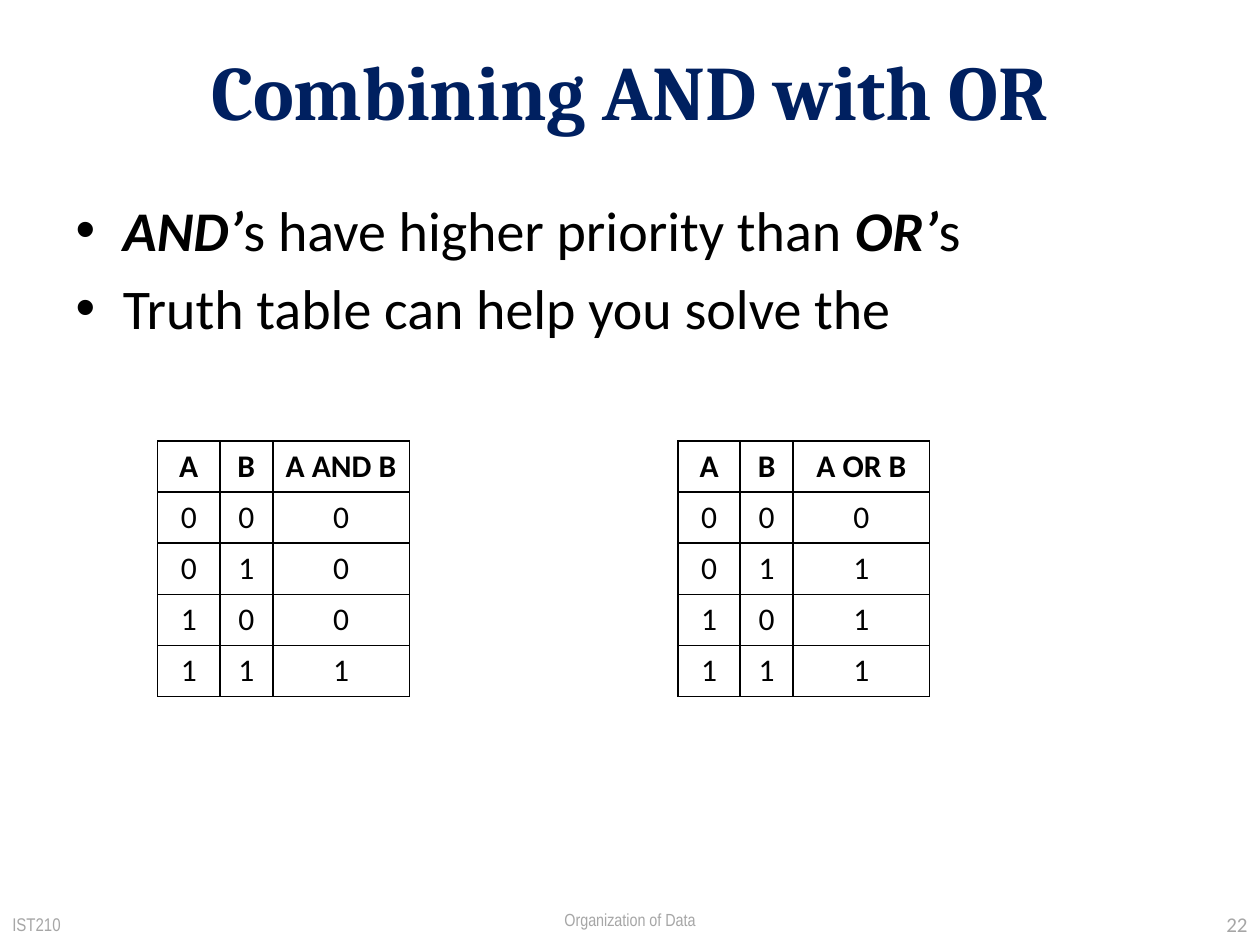
import pptx
import pptx.dml.color
import pptx.enum.text
import pptx.oxml.ns
import pptx.util
from lxml import etree

Cm = pptx.util.Cm
ALIGN = pptx.enum.text.PP_ALIGN
ANCHOR = pptx.enum.text.MSO_ANCHOR

COLORS = {"title": "002060", "text": "000000", "footer": "A6A6A6", "border": "000000"}

TITLE = "Combining AND with OR"
BULLETS = [
    [("AND’", True), ("s have higher priority than ", False), ("OR’", True), ("s", False)],
    [("Truth table can help you solve the", False)],
]
INPUTS = [(0, 0), (0, 1), (1, 0), (1, 1)]
TRUTH_TABLES = [
    (3.18, "A AND B", [a & b for a, b in INPUTS]),
    (13.67, "A OR B", [a | b for a, b in INPUTS]),
]
TABLE_TOP = 8.89
COLUMN_WIDTHS = (1.25, 1.07, 2.75)
ROW_HEIGHT = 1.03
FOOTERS = [
    ("IST210", (0, 18.21, 7.2, 0.84), ALIGN.LEFT, ANCHOR.MIDDLE, "Arial Narrow", 10.5),
    ("Organization of Data", (7.2, 18.21, 11, 0.79), ALIGN.CENTER, ANCHOR.TOP, "Arial Narrow", 10),
    ("22", (18.2, 18.21, 7.2, 0.84), ALIGN.RIGHT, ANCHOR.MIDDLE, "Calibri", 12),
]


def place(box, left, top, width, height):
    values = {"left": left, "top": top, "width": width, "height": height}
    for name, value in values.items():
        setattr(box, name, Cm(value))


def add_span(para, text, font, size, color, **formats):
    span = para.add_run()
    span.text = text
    values = {"name": font, "size": pptx.util.Pt(size), **formats}
    for name, value in values.items():
        setattr(span.font, name, value)
    span.font.color.rgb = pptx.dml.color.RGBColor.from_string(COLORS[color])


def add_borders(cell):
    qn = pptx.oxml.ns.qn
    properties = cell._tc.get_or_add_tcPr()
    for side in ("lnL", "lnR", "lnT", "lnB"):
        line = etree.SubElement(properties, qn(f"a:{side}"), w=str(pptx.util.Pt(1)))
        fill = etree.SubElement(line, qn("a:solidFill"))
        etree.SubElement(fill, qn("a:srgbClr"), val=COLORS["border"])


def add_truth_table(page, left, heading, results):
    rows = [("A", "B", heading)] + [(*pair, result) for pair, result in zip(INPUTS, results)]
    frame = page.shapes.add_table(
        len(rows), len(COLUMN_WIDTHS), Cm(left), Cm(TABLE_TOP),
        Cm(sum(COLUMN_WIDTHS)), Cm(ROW_HEIGHT * len(rows)),
    )
    table = frame.table
    table.horz_banding = False
    for column, width in zip(table.columns, COLUMN_WIDTHS):
        column.width = Cm(width)
    for row_number, row in enumerate(rows):
        table.rows[row_number].height = Cm(ROW_HEIGHT)
        for column_number, value in enumerate(row):
            cell = table.cell(row_number, column_number)
            cell.margin_left = cell.margin_right = Cm(0.2)
            add_borders(cell)
            cell.fill.background()
            para = cell.text_frame.paragraphs[0]
            para.alignment = ALIGN.CENTER
            add_span(para, str(value), "Calibri", 18, "text", bold=row_number == 0)


def main():
    deck = pptx.Presentation()
    deck.slide_width, deck.slide_height = Cm(25.4), Cm(19.05)
    page = deck.slides.add_slide(deck.slide_layouts[1])

    title = page.shapes.title
    place(title, 1.27, 0, 22.86, 3.6)
    add_span(title.text_frame.paragraphs[0], TITLE, "Cambria", 44, "title", bold=True)

    body = page.placeholders[1]
    place(body, 1.27, 3.81, 22.86, 13.2)
    for number, bullet in enumerate(BULLETS):
        para = body.text_frame.add_paragraph() if number else body.text_frame.paragraphs[0]
        for text, strong in bullet:
            add_span(para, text, "Calibri", 32, "text", bold=strong, italic=strong)

    for text, bounds, alignment, anchor, font, size in FOOTERS:
        box = page.shapes.add_textbox(*map(Cm, bounds))
        box.text_frame.word_wrap = True
        box.text_frame.vertical_anchor = anchor
        para = box.text_frame.paragraphs[0]
        para.alignment = alignment
        add_span(para, text, font, size, "footer")

    for left, heading, results in TRUTH_TABLES:
        add_truth_table(page, left, heading, results)

    deck.save("out.pptx")


if __name__ == "__main__":
    main()
